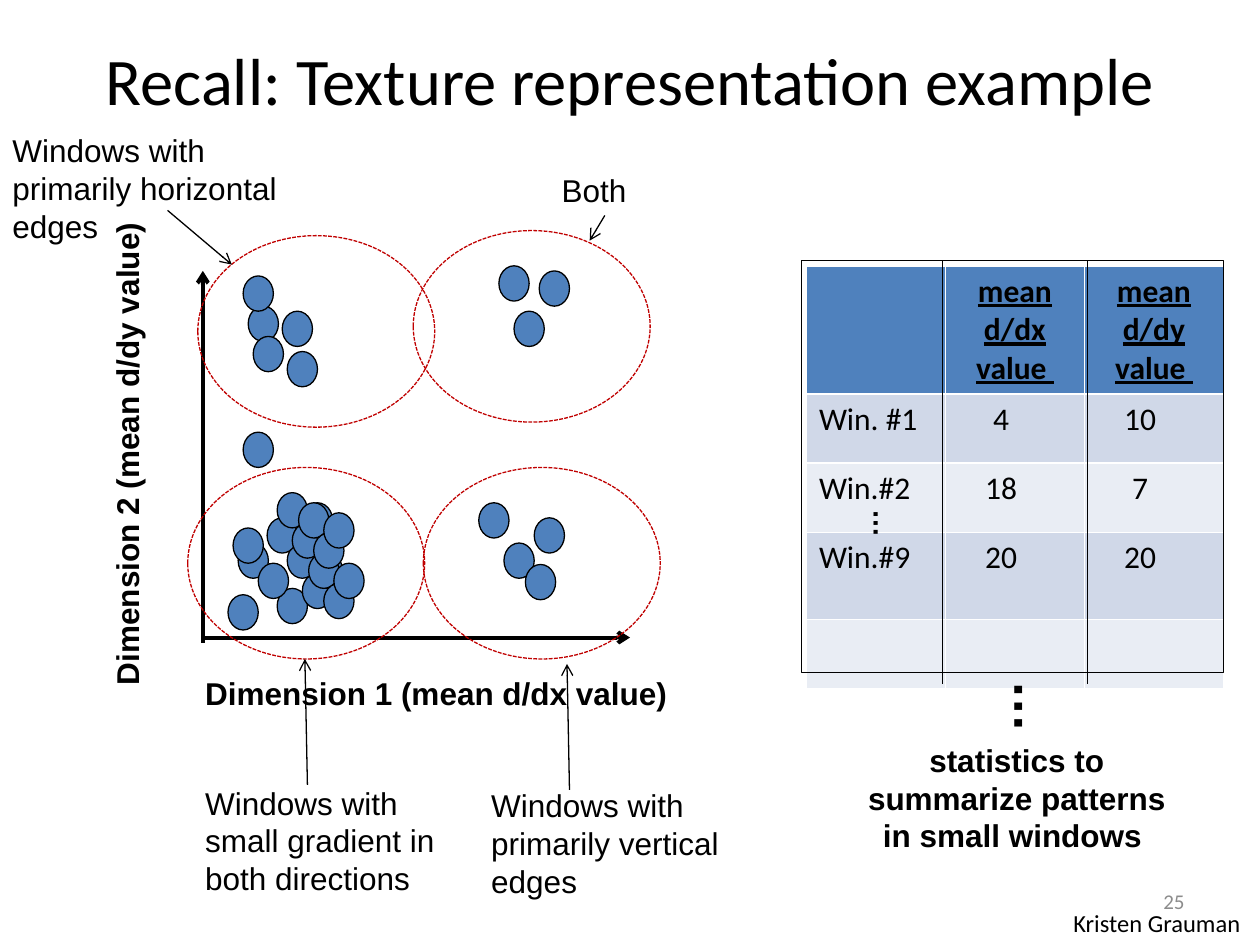
from lxml.etree import SubElement
from pptx import Presentation
from pptx.dml.color import RGBColor
from pptx.enum.dml import MSO_LINE
from pptx.enum.shapes import MSO_CONNECTOR, MSO_SHAPE
from pptx.enum.text import MSO_ANCHOR, PP_ALIGN
from pptx.oxml.ns import qn
from pptx.util import Inches, Pt

COLORS = {"ink": "000000", "blue": "4F81BD", "band_dark": "D0D8E8",
          "band_light": "E9EDF4", "red": "C00000", "gray": "8C8C8C"}

# Text, (left, top, width, height), format
LABELS = [
    ("Recall: Texture representation example", (0, 0, 10, 1.25),
     dict(size=38, font="Calibri", align=PP_ALIGN.CENTER, anchor=MSO_ANCHOR.MIDDLE)),
    ("statistics to summarize patterns in small windows ", (6.67, 5.83, 2.8, 1.01),
     dict(bold=True, align=PP_ALIGN.CENTER)),
    ("…", (7.31, 5.9, 1.8, 0.61), dict(size=30, bold=True, rotation=90)),
    ("…", (5.38, 5.4, 3.28, 0.37), dict(size=16, bold=True, rotation=90)),
    ("Dimension 1 (mean d/dx value)", (1.53, 5.3, 4.91, 0.4), dict(bold=True)),
    ("Dimension 2 (mean d/dy value)", (-1.45, 2.88, 4.91, 0.4),
     dict(bold=True, rotation=270)),
    ("Kristen Grauman", (8.42, 7.16, 2.08, 0.34), dict(size=14, font="Calibri")),
    ("25", (7.17, 6.95, 2.33, 0.4),
     dict(size=12, font="Calibri", color="gray", align=PP_ALIGN.RIGHT,
          anchor=MSO_ANCHOR.MIDDLE)),
]

TABLE_ROWS = [
    ("", "mean d/dx value ", "mean d/dy value "),
    ("Win. #1", "4", "10"),
    ("Win.#2", "18", "7"),
    ("Win.#9", "20", "20"),
    ("", "", ""),
]
TABLE_BOX = (6.4, 2.11, 3.31, 3.34)
ROW_HEIGHTS = [1, 0.55, 0.55, 0.69, 0.55]
FRAME_BOX = (6.36, 2.07, 3.35, 3.27)
COLUMN_RULES = [7.48, 8.63]

AXES = [((1.61, 5.06), (5, 5.06)), ((1.61, 5.1), (1.61, 2.15))]

WINDOW_SIZE = (0.24, 0.28)
WINDOWS = [
    (1.93, 3.43), (3.8, 3.99), (4.28, 2.15), (3.96, 2.11), (4.08, 2.47), (4, 4.31),
    (1.97, 2.43), (2.28, 2.79), (4.24, 4.11), (1.89, 4.31), (2.2, 4.67), (2.28, 4.31),
    (2.4, 4.55), (1.81, 4.72), (2.05, 4.47), (2.12, 4.11), (2.48, 4.39), (1.85, 4.19),
    (2.24, 2.47), (1.93, 2.19), (4.17, 4.48), (2.01, 2.67), (2.45, 4.39), (2.57, 4.63),
    (2.65, 4.47), (2.2, 3.91), (2.32, 4.15), (2.4, 3.99), (2.37, 3.99), (2.49, 4.23),
    (2.57, 4.07),
]

CLUSTER_SIZE = (1.88, 1.52)
# Caption, caption box, cluster corner, arrow start, arrow end
CLUSTERS = [
    ("Windows with small gradient in both directions", (1.53, 6.17, 2.08, 1.01),
     (1.49, 3.71), (2.44, 6.23), (2.42, 5.23)),
    ("Windows with primarily vertical edges", (3.8, 6.19, 2.08, 1.01),
     (3.36, 3.71), (4.52, 6.27), (4.5, 5.27)),
    ("Windows with primarily horizontal edges", (0, 0.99, 2.36, 1.01),
     (1.57, 1.87), (1.33, 1.67), (1.84, 2.1)),
    ("Both", (4.36, 1.31, 2.08, 0.4), (3.28, 1.83), (4.8, 1.71), (4.68, 1.91)),
]


def rgb(name):
    return RGBColor.from_string(COLORS[name])


def write(frame, text, size=18, font="Arial", color="ink", bold=False,
          underline=False, align=PP_ALIGN.LEFT):
    paragraph = frame.paragraphs[0]
    paragraph.alignment = align
    run = paragraph.add_run()
    run.text = text
    run.font.size, run.font.name = Pt(size), font
    run.font.bold, run.font.underline = bold, underline
    run.font.color.rgb = rgb(color)


def add_label(slide, text, box, rotation=0, anchor=MSO_ANCHOR.TOP, **text_format):
    label = slide.shapes.add_textbox(*map(Inches, box))
    label.rotation = rotation
    label.text_frame.word_wrap = True
    label.text_frame.vertical_anchor = anchor
    write(label.text_frame, text, **text_format)


def add_outline(slide, kind, box, fill=None, line="ink", dash=None):
    shape = slide.shapes.add_shape(kind, *map(Inches, box))
    shape.shadow.inherit = False
    if fill:
        shape.fill.solid()
        shape.fill.fore_color.rgb = rgb(fill)
    else:
        shape.fill.background()
    shape.line.color.rgb = rgb(line)
    shape.line.width = Pt(0.75)
    if dash:
        shape.line.dash_style = dash


def add_line(slide, start, end, width=0.75, arrow=False):
    line = slide.shapes.add_connector(MSO_CONNECTOR.STRAIGHT, *map(Inches, start + end))
    line.line.color.rgb = rgb("ink")
    line.line.width = Pt(width)
    if arrow:
        SubElement(line.line._get_or_add_ln(), qn("a:tailEnd"), type="arrow")
    SubElement(line._element.spPr, qn("a:effectLst"))


def add_statistics(slide):
    table = slide.shapes.add_table(len(TABLE_ROWS), len(TABLE_ROWS[0]),
                                   *map(Inches, TABLE_BOX)).table
    for column in table.columns:
        column.width = Inches(TABLE_BOX[2] / len(TABLE_ROWS[0]))
    for r, (texts, height) in enumerate(zip(TABLE_ROWS, ROW_HEIGHTS)):
        table.rows[r].height = Inches(height)
        header = r == 0
        fill = "blue" if header else "band_dark" if r % 2 else "band_light"
        for c, text in enumerate(texts):
            cell = table.cell(r, c)
            cell.fill.solid()
            cell.fill.fore_color.rgb = rgb(fill)
            if not text:
                continue
            if c and not header:
                cell.margin_right = Inches(0.32)  # values sit left of the column centre
            write(cell.text_frame, text, font="Calibri", bold=header, underline=header,
                  align=PP_ALIGN.CENTER if c else PP_ALIGN.LEFT)


def main():
    prs = Presentation()
    prs.slide_width, prs.slide_height = Inches(10), Inches(7.5)
    slide = prs.slides.add_slide(prs.slide_layouts[6])

    add_statistics(slide)
    add_outline(slide, MSO_SHAPE.RECTANGLE, FRAME_BOX)
    for x in COLUMN_RULES:
        add_line(slide, (x, 2.07), (x, 5.43))
    for text, box, text_format in LABELS:
        add_label(slide, text, box, **text_format)

    for start, end in AXES:
        add_line(slide, start, end, width=2.25, arrow=True)
    for corner in WINDOWS:
        add_outline(slide, MSO_SHAPE.OVAL, corner + WINDOW_SIZE, fill="blue")
    for caption, caption_box, corner, start, end in CLUSTERS:
        add_outline(slide, MSO_SHAPE.OVAL, corner + CLUSTER_SIZE, line="red",
                    dash=MSO_LINE.SQUARE_DOT)
        add_label(slide, caption, caption_box)
        add_line(slide, start, end, arrow=True)

    prs.save("out.pptx")


if __name__ == "__main__":
    main()
